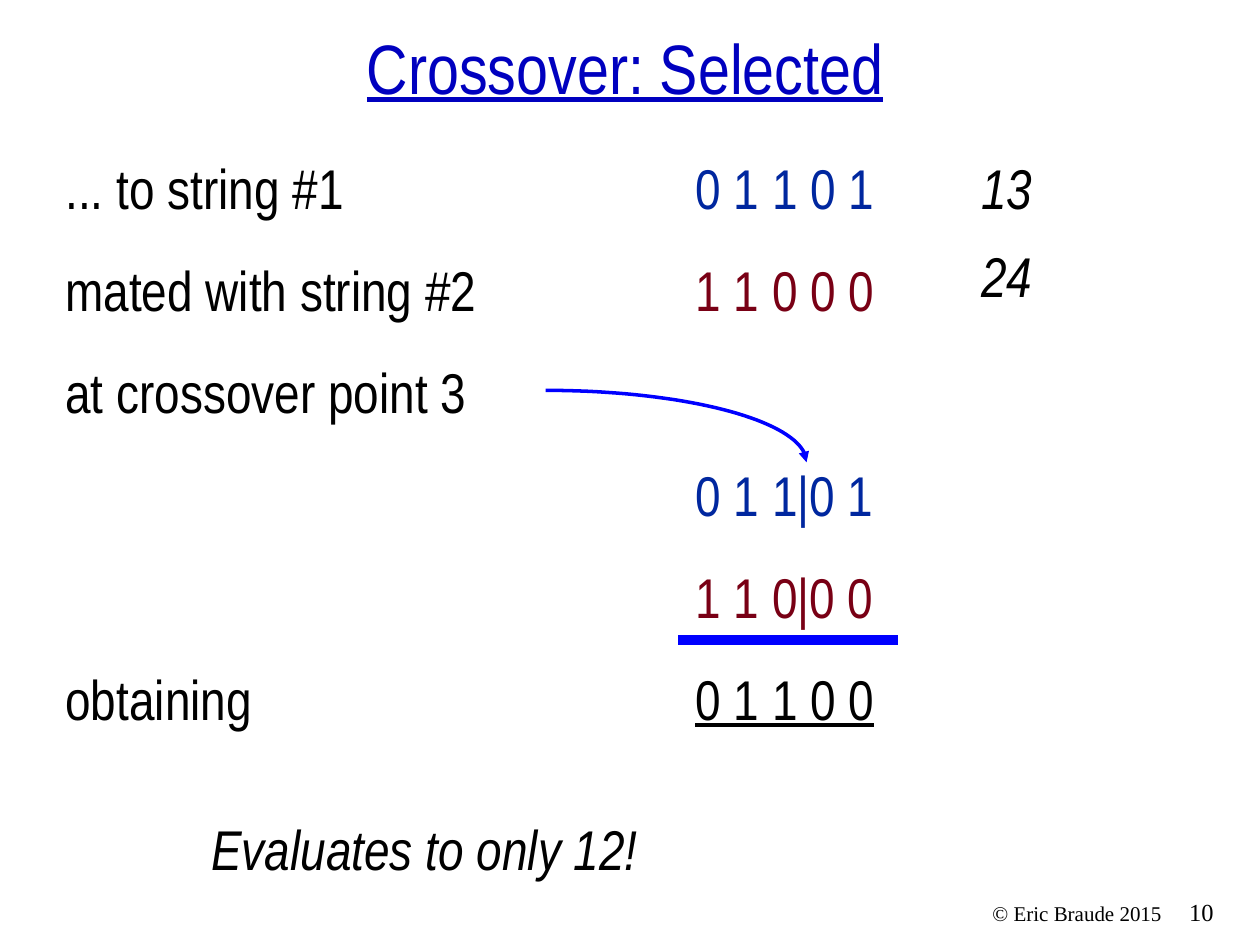
import math

import lxml.etree
import pptx
import pptx.dml.color
import pptx.enum.shapes
import pptx.enum.text
import pptx.oxml.ns
import pptx.util

Cm = pptx.util.Cm
Pt = pptx.util.Pt
qn = pptx.oxml.ns.qn
Color = pptx.dml.color.RGBColor
Align = pptx.enum.text.PP_ALIGN
Anchor = pptx.enum.text.MSO_ANCHOR

BLACK = Color(0, 0, 0)
TITLE = Color(0x00, 0x00, 0xBF)
NAVY = Color(0x00, 0x27, 0x9F)
WINE = Color(0x79, 0x00, 0x15)
BLUE = Color(0x00, 0x00, 0xFF)
SANS = "Arial Narrow"
SERIF = "Times New Roman"


class Page:
    """Draw styled elements on the current slide."""

    def __init__(self, slide):
        self.slide = slide
        self.size = 32
        self.gap = 20
        self.stop = 12.7

    def frame(self, left, top, width, height):
        box = self.slide.shapes.add_textbox(Cm(left), Cm(top), Cm(width), Cm(height))
        box.text_frame.word_wrap = True
        return box.text_frame

    def run(self, para, text, color=BLACK, size=None, face=SANS, line=None, slant=None):
        run = para.add_run()
        run.text = text
        font = run.font
        font.name, font.size = face, Pt(size or self.size)
        font.color.rgb = color
        font.underline, font.italic = line, slant

    def label(self, text, box, align=Align.LEFT, anchor=Anchor.TOP, **style):
        frame = self.frame(*box)
        frame.vertical_anchor = anchor
        para = frame.paragraphs[0]
        para.alignment = align
        self.run(para, text, **style)

    def rows(self, rows, box):
        frame = self.frame(*box)
        for i, (name, bits, color, line) in enumerate(rows):
            para = frame.add_paragraph() if i else frame.paragraphs[0]
            tabs = lxml.etree.SubElement(para._p.get_or_add_pPr(), qn("a:tabLst"))
            lxml.etree.SubElement(tabs, qn("a:tab"), pos=str(Cm(self.stop)), algn="l")
            if i:
                para.space_before = Pt(self.gap)
            if not bits:
                self.run(para, name)
                continue
            self.run(para, name + "\t")
            self.run(para, bits, color, line=line)

    def rule(self, left, right, top, width):
        kind = pptx.enum.shapes.MSO_CONNECTOR.STRAIGHT
        rule = self.slide.shapes.add_connector(kind, Cm(left), Cm(top), Cm(right), Cm(top))
        rule.line.color.rgb = BLUE
        rule.line.width = Pt(width)
        lxml.etree.SubElement(rule._element.spPr, qn("a:effectLst"))

    def arc(self, left, top, width, height, steps=40):
        turns = [math.pi / 2 * i / steps for i in range(steps + 1)]
        dots = [
            (Cm(left + width * math.sin(t)), Cm(top + height * (1 - math.cos(t))))
            for t in turns
        ]
        path = self.slide.shapes.build_freeform(*dots[0])
        path.add_line_segments(dots[1:], close=False)
        arc = path.convert_to_shape()
        arc.shadow.inherit = False
        arc.fill.background()
        arc.line.color.rgb = BLUE
        arc.line.width = Pt(2)
        edge = arc._element.spPr.find(qn("a:ln"))
        lxml.etree.SubElement(edge, qn("a:tailEnd"), type="triangle")


def main():
    deck = pptx.Presentation()
    deck.slide_width, deck.slide_height = Cm(25.4), Cm(19.05)
    page = Page(deck.slides.add_slide(deck.slide_layouts[6]))

    page.label("10", (23.72, 17.96, 1.47, 0.84), size=14, face=SERIF)
    page.label("© Eric Braude 2015", (16.89, 18.03, 6.78, 0.76), Align.RIGHT,
               size=12, face=SERIF)
    page.label("Crossover: Selected", (0, 0.94, 25.2, 1.37), Align.CENTER,
               Anchor.BOTTOM, color=TITLE, size=40, line=True)
    page.rows(
        [
            ("... to string #1", "0 1 1 0 1", NAVY, None),
            ("mated with string #2", "1 1 0 0 0", WINE, None),
            ("at crossover point 3", "", BLACK, None),
            ("", "0 1 1|0 1", NAVY, None),
            ("", "1 1 0|0 0", WINE, None),
            ("obtaining", "0 1 1 0 0", BLACK, True),
        ],
        (1.07, 2.97, 23.06, 11.91),
    )
    page.arc(11, 7.87, 5.26, 1.45)
    page.rule(13.67, 18.11, 12.9, 6)
    page.label("Evaluates to only 12!", (4.01, 16.3, 9.4, 1.63), slant=True)
    for text, top in (("13", 2.97), ("24", 4.74)):
        page.label(text, (19.53, top, 1.8, 1.63), slant=True)

    deck.save("out.pptx")


if __name__ == "__main__":
    main()
